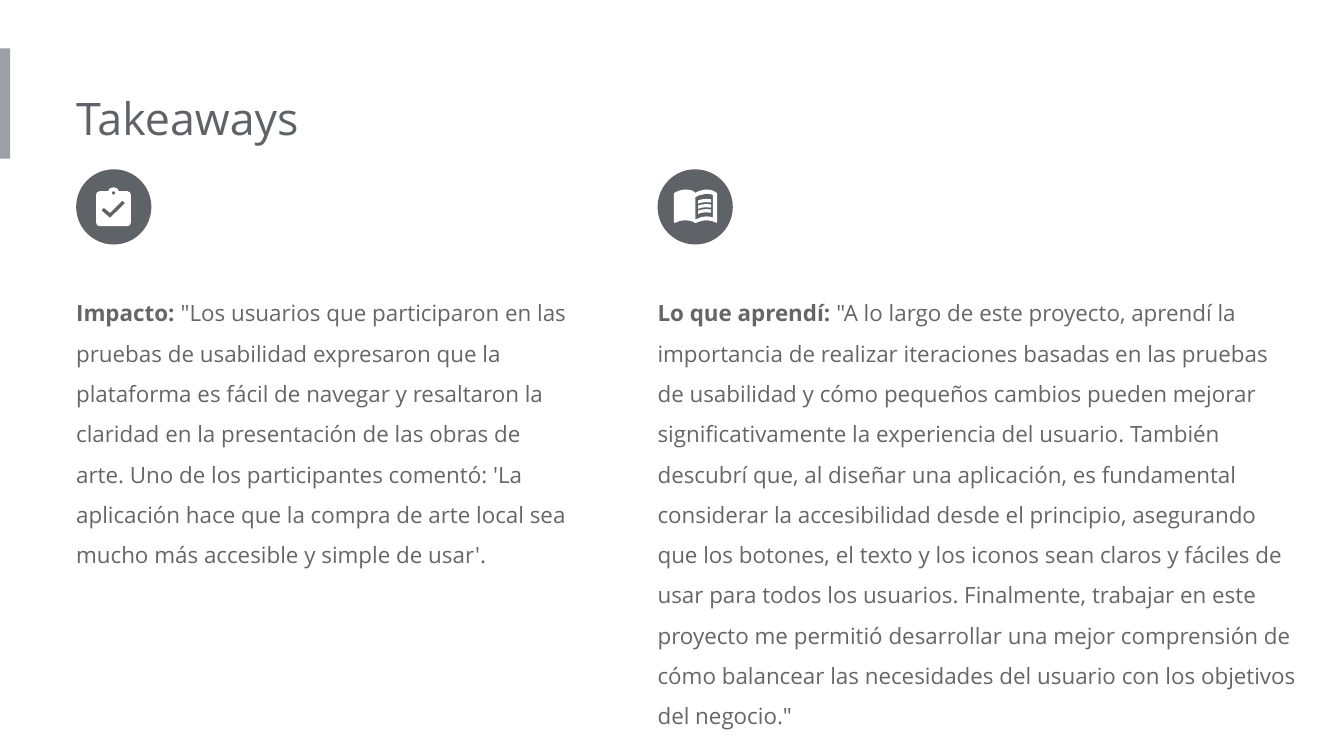
from math import cos, pi, sin

from pptx import Presentation
from pptx.dml.color import RGBColor
from pptx.enum.shapes import MSO_SHAPE
from pptx.enum.text import MSO_AUTO_SIZE
from pptx.util import Inches, Pt

COLORS = {"bar": "9AA0A6", "dark": "5F6368", "body": "666666", "white": "FFFFFF"}
FONT = "Open Sans"

prs = Presentation()
prs.slide_width = Inches(10)
prs.slide_height = prs.slide_width * 9 // 16
slide = prs.slides.add_slide(prs.slide_layouts[6])
shapes = slide.shapes

# Lengths are hundredths of the slide's width; icon points are finer by 100
UNIT = prs.slide_width / 100
ICON_UNIT = UNIT / 100
COLUMNS = (5.67, 48.93)
TITLE_ROW, ICON_ROW, TEXT_ROW = 5.74, 12.6, 20.28
DISC = 5.6


def paint(shape, color):
    shape.shadow.inherit = False
    shape.fill.solid()
    shape.fill.fore_color.rgb = RGBColor.from_string(COLORS[color])
    shape.line.fill.background()


def add_text(left, top, width, height, size, color, runs, spacing=1.0):
    """Add one paragraph; runs are (text, bold) pairs."""
    box = shapes.add_textbox(*(round(v * UNIT) for v in (left, top, width, height)))
    frame = box.text_frame
    frame.word_wrap = True
    frame.auto_size = MSO_AUTO_SIZE.SHAPE_TO_FIT_TEXT
    frame.margin_left = 0
    frame.margin_top = frame.margin_right = frame.margin_bottom = Inches(0.1)
    paragraph = frame.paragraphs[0]
    paragraph.line_spacing = spacing
    paragraph.font.name = FONT
    paragraph.font.size = Pt(size)
    paragraph.font.color.rgb = RGBColor.from_string(COLORS[color])
    for text, bold in runs:
        run = paragraph.add_run()
        run.text = text
        run.font.bold = bold


accent = shapes.add_shape(MSO_SHAPE.RECTANGLE, 0, round(3.6 * UNIT),
                          round(0.76 * UNIT), round(8.22 * UNIT))
paint(accent, "bar")
add_text(COLUMNS[0], TITLE_ROW, 53.9, 6.1, 24, "dark", [("Takeaways", False)])

# Icon outlines, measured from the top left of their disc
clipboard = [(380, 163), (400, 171), (408, 191), (408, 396), (400, 416), (380, 424),
             (176, 424), (156, 416), (148, 396), (148, 191), (156, 171), (176, 163),
             (238, 163), (247, 146), (262, 138), (278, 135), (294, 138), (309, 146),
             (318, 163)]
clip_hole = [(278 + 13 * cos(k * pi / 6), 176 + 13 * sin(k * pi / 6)) for k in range(12)]
check = [(252, 362), (187, 305), (207, 287), (252, 324), (344, 232), (364, 252)]

book = [(121, 178), (140, 167), (170, 156), (204, 150), (245, 154), (265, 162),
        (282, 175), (300, 165), (335, 154), (362, 150), (400, 154), (425, 165),
        (443, 178), (443, 390), (438, 398), (430, 395), (405, 385), (362, 379),
        (325, 384), (282, 400), (265, 390), (235, 382), (204, 379), (165, 384),
        (134, 398), (124, 396), (121, 388)]
right_page = [(282, 207), (310, 193), (362, 182), (390, 184), (411, 190), (411, 358),
              (390, 353), (362, 350), (325, 356), (282, 373)]
text_line = [(302, 232), (325, 224), (362, 220), (398, 223), (398, 247), (362, 244),
             (325, 248), (302, 256)]
page_lines = [[[(x, y + 38 * row) for x, y in text_line]] for row in range(3)]

takeaways = [
    (37.7, 22.2, "Impacto:",
     " \"Los usuarios que participaron en las pruebas de usabilidad expresaron que la "
     "plataforma es fácil de navegar y resaltaron la claridad en la presentación de las "
     "obras de arte. Uno de los participantes comentó: 'La aplicación hace que la compra "
     "de arte local sea mucho más accesible y simple de usar'.",
     [[clipboard, clip_hole, check]]),
    (48.7, 34.3, "Lo que aprendí:",
     " \"A lo largo de este proyecto, aprendí la importancia de realizar iteraciones "
     "basadas en las pruebas de usabilidad y cómo pequeños cambios pueden mejorar "
     "significativamente la experiencia del usuario. También descubrí que, al diseñar "
     "una aplicación, es fundamental considerar la accesibilidad desde el principio, "
     "asegurando que los botones, el texto y los iconos sean claros y fáciles de usar "
     "para todos los usuarios. Finalmente, trabajar en este proyecto me permitió "
     "desarrollar una mejor comprensión de cómo balancear las necesidades del usuario "
     "con los objetivos del negocio.\"",
     [[book, right_page], *page_lines]),
]

for left, (width, height, heading, body, icon) in zip(COLUMNS, takeaways):
    add_text(left, TEXT_ROW, width, height, 12, "body",
             [(heading, True), (body, False)], spacing=1.5)
    disc = shapes.add_shape(MSO_SHAPE.OVAL, round(left * UNIT), round(ICON_ROW * UNIT),
                            round(DISC * UNIT), round(DISC * UNIT))
    paint(disc, "dark")
    for contours in icon:
        start, *rest = contours[0]
        outline = shapes.build_freeform(*start, scale=ICON_UNIT)
        outline.add_line_segments(rest)
        for start, *rest in contours[1:]:
            outline.move_to(*start)
            outline.add_line_segments(rest)
        paint(outline.convert_to_shape(disc.left, disc.top), "white")

prs.save("out.pptx")
